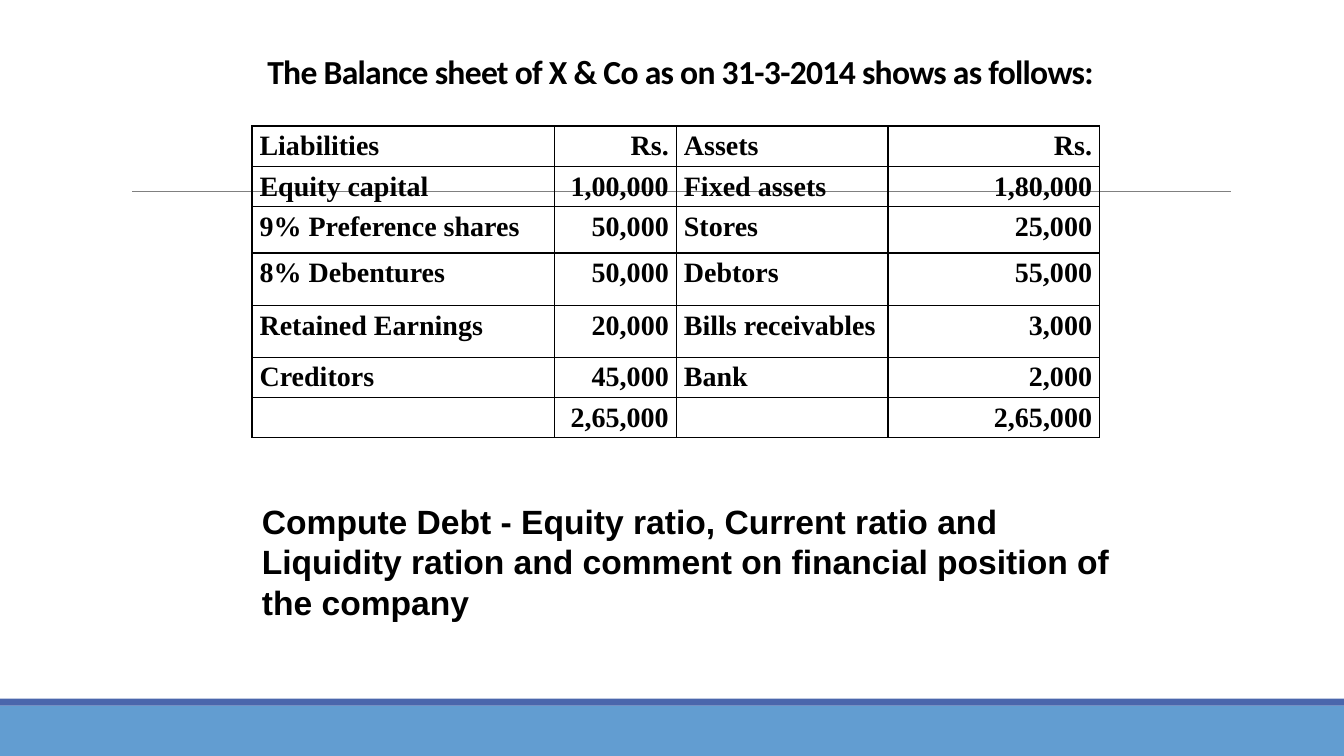
from lxml import etree
from pptx import Presentation
from pptx import util as u
from pptx.dml import color
from pptx.enum import shapes, text
from pptx.oxml import ns

LEFT, RIGHT, CENTER = text.PP_ALIGN.LEFT, text.PP_ALIGN.RIGHT, text.PP_ALIGN.CENTER
SLIDE_WIDTH, SLIDE_HEIGHT = 960, 540
COLUMN_WIDTHS = [216, 87.12, 151.2, 151.2]
ROW_HEIGHTS = [28.8, 28.8, 33.12, 37.5, 37, 28.8, 28.8]
BALANCE_SHEET = [
    ["Liabilities", "Rs.", "Assets", "Rs."],
    ["Equity capital", "1,00,000", "Fixed assets", "1,80,000"],
    ["9% Preference shares", "50,000", "Stores", "25,000"],
    ["8% Debentures", "50,000", "Debtors", "55,000"],
    ["Retained Earnings", "20,000", "Bills receivables", "3,000"],
    ["Creditors", "45,000", "Bank", "2,000"],
    ["", "2,65,000", "", "2,65,000"],
]


def rgb(value):
    """Return the colour for a hex string."""
    return color.RGBColor.from_string(value)


def set_all(target, values):
    """Set every attribute named in a dict."""
    for name, value in values.items():
        setattr(target, name, value)


def write(frame, wording, face, size, align=LEFT, line_spacing=1.0):
    """Write one bold black paragraph into a text frame."""
    para = frame.paragraphs[0]
    set_all(para, {"alignment": align, "line_spacing": line_spacing})
    set_all(para.font, {"name": face, "size": u.Pt(size), "bold": True})
    para.font.color.rgb = rgb("000000")
    if wording:
        span = para.add_run()
        span.text = wording
        set_all(span.font, {"name": face, "size": u.Pt(size), "bold": True})
        span.font.color.rgb = rgb("000000")
    return para


def add_band(page, top, height, fill):
    """Add a full-width coloured band."""
    band = page.shapes.add_shape(
        shapes.MSO_SHAPE.RECTANGLE, 0, u.Pt(top), u.Pt(SLIDE_WIDTH), u.Pt(height))
    band.shadow.inherit = False
    band.fill.solid()
    band.fill.fore_color.rgb = rgb(fill)
    band.line.fill.background()


def add_rule(page, left, right, top):
    """Add a thin grey horizontal line."""
    rule = page.shapes.add_connector(
        shapes.MSO_CONNECTOR.STRAIGHT, u.Pt(left), u.Pt(top), u.Pt(right), u.Pt(top))
    rule.line.color.rgb = rgb("808080")
    rule.line.width = u.Pt(0.5)
    etree.SubElement(rule._element.spPr, ns.qn("a:effectLst"))


def set_title(page, wording):
    """Place and write the slide title."""
    title = page.shapes.title
    set_all(title, {"left": u.Pt(162), "top": u.Pt(0),
                    "width": u.Pt(648), "height": u.Pt(97.2)})
    set_all(title.text_frame, {
        "word_wrap": True, "auto_size": text.MSO_AUTO_SIZE.NONE,
        "vertical_anchor": text.MSO_ANCHOR.BOTTOM, "margin_bottom": u.Pt(32)})
    para = write(title.text_frame, wording, "Calibri", 24, CENTER, 0.85)
    para.runs[0].font._element.set("spc", "-50")


def add_borders(cell):
    """Give a cell black one-point borders."""
    properties = cell._tc.get_or_add_tcPr()
    for side in ("lnL", "lnR", "lnT", "lnB"):
        border = etree.SubElement(properties, ns.qn(f"a:{side}"), w=str(u.Pt(1)))
        fill = etree.SubElement(border, ns.qn("a:solidFill"))
        etree.SubElement(fill, ns.qn("a:srgbClr"), val="000000")


def add_balance_sheet(page, left, top):
    """Add the balance sheet table."""
    table = page.shapes.add_table(
        len(ROW_HEIGHTS), len(COLUMN_WIDTHS), u.Pt(left), u.Pt(top),
        u.Pt(sum(COLUMN_WIDTHS)), u.Pt(sum(ROW_HEIGHTS))).table
    set_all(table, {"first_row": False, "horz_banding": False})
    for column, width in zip(table.columns, COLUMN_WIDTHS):
        column.width = u.Pt(width)
    for row, height, entries in zip(table.rows, ROW_HEIGHTS, BALANCE_SHEET):
        row.height = u.Pt(height)
        for index, (cell, entry) in enumerate(zip(row.cells, entries)):
            set_all(cell, {"margin_left": u.Pt(5.4), "margin_right": u.Pt(5.4),
                           "margin_top": 0, "margin_bottom": 0})
            add_borders(cell)
            cell.fill.background()
            align = RIGHT if index % 2 else LEFT
            write(cell.text_frame, entry, "Times New Roman", 20, align, 1.15)


def add_task(page, wording):
    """Add the question below the table."""
    box = page.shapes.add_textbox(u.Pt(180), u.Pt(354.24), u.Pt(635.76), u.Pt(94.32))
    set_all(box.text_frame, {
        "word_wrap": True, "auto_size": text.MSO_AUTO_SIZE.SHAPE_TO_FIT_TEXT})
    write(box.text_frame, wording, "Arial", 24)


def main():
    """Build and save the slide."""
    deck = Presentation()
    set_all(deck, {"slide_width": u.Pt(SLIDE_WIDTH), "slide_height": u.Pt(SLIDE_HEIGHT)})
    page = deck.slides.add_slide(deck.slide_layouts[5])
    add_band(page, 504, 36, "629DD1")
    add_band(page, 499, 5, "4A66AC")
    add_rule(page, 94.32, 879, 136.8)
    set_title(page, "The Balance sheet of X & Co as on 31-3-2014 shows as follows:")
    add_balance_sheet(page, 180, 90)
    add_task(page, "Compute Debt - Equity ratio, Current ratio and Liquidity ration "
                   "and comment on financial position of the company")
    deck.save("out.pptx")


if __name__ == "__main__":
    main()
